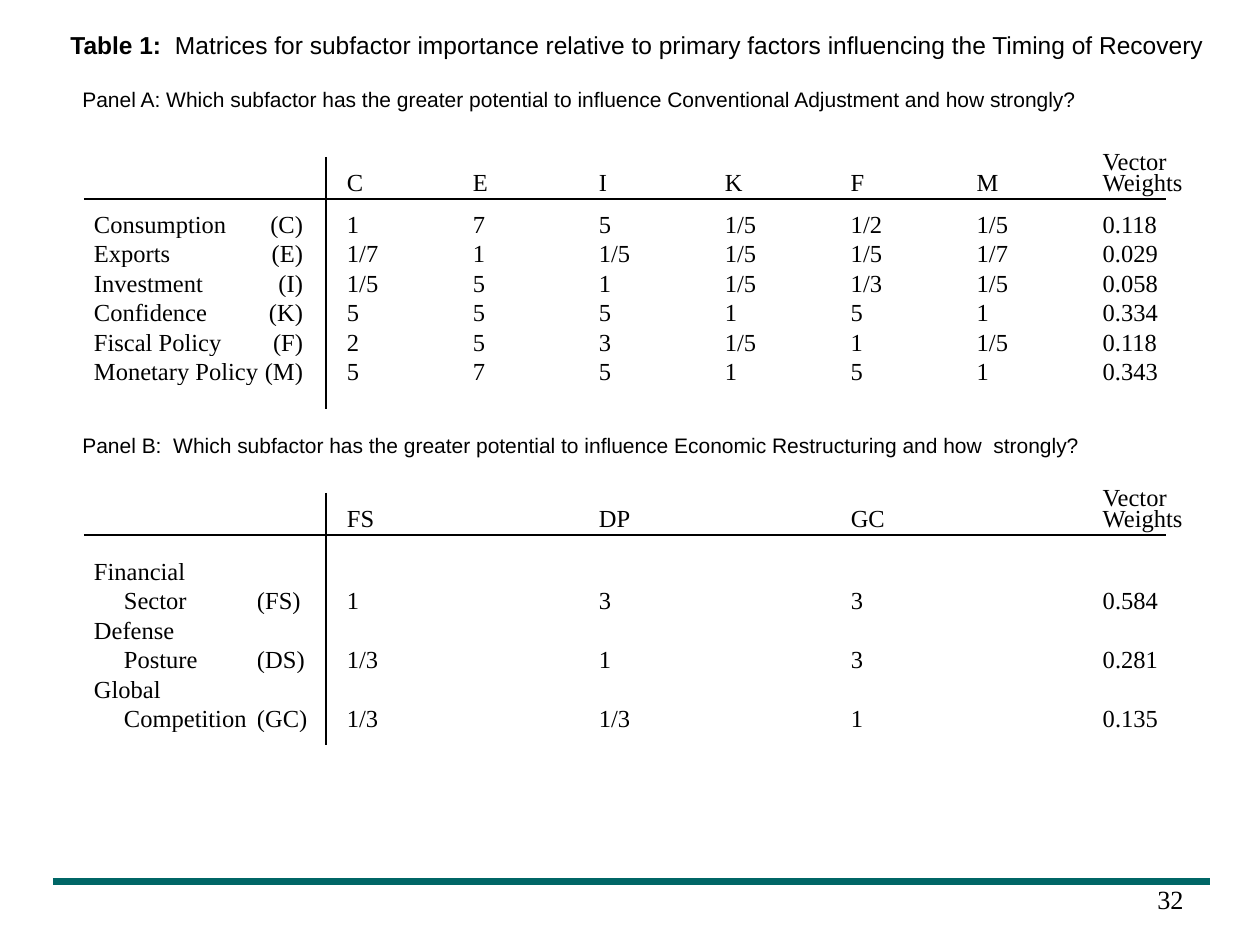
import pptx
import pptx.util
import pptx.dml.color
import pptx.enum.shapes
import pptx.enum.text
import pptx.oxml.ns
import lxml.etree

PX = 914400 // 126
BLACK = pptx.dml.color.RGBColor(0x00, 0x00, 0x00)
TEAL = pptx.dml.color.RGBColor(0x00, 0x66, 0x66)
SANS, SERIF = "Arial", "Times New Roman"
ALIGN = pptx.enum.text.PP_ALIGN
ANCHOR = pptx.enum.text.MSO_ANCHOR

# Horizontal grid shared by both matrices
LEFT, DIVIDER, RULE_END = 84, 326, 1166
VALUES_WIDTH, WEIGHTS_WIDTH = 756, 126


class SlideBuilder:
    def __init__(self, slide):
        self.slide = slide

    def style(self, paragraph, font, size, align=ALIGN.LEFT):
        paragraph.alignment = align
        paragraph.font.name = font
        paragraph.font.size = pptx.util.Pt(size)
        paragraph.font.color.rgb = BLACK

    def line(self, x1, y1, x2, y2, color=BLACK, width=1):
        connector = self.slide.shapes.add_connector(
            pptx.enum.shapes.MSO_CONNECTOR.STRAIGHT, x1 * PX, y1 * PX, x2 * PX, y2 * PX)
        connector.line.color.rgb = color
        connector.line.width = pptx.util.Pt(width)
        lxml.etree.SubElement(connector._element.spPr, pptx.oxml.ns.qn("a:effectLst"))

    def text(self, x, y, width, height, runs, font, size, align=ALIGN.LEFT):
        """Add a one-line text box; runs are (text, bold) pairs."""
        box = self.slide.shapes.add_textbox(x * PX, y * PX, width * PX, height * PX)
        box.text_frame.word_wrap = True
        paragraph = box.text_frame.paragraphs[0]
        self.style(paragraph, font, size, align)
        for content, bold in runs:
            run = paragraph.add_run()
            run.text = content
            run.font.bold = bold

    def cell(self, cell, content, left=0, right=0, bottom=0, align=ALIGN.LEFT,
             spacing=None, indent=0):
        """Fill a cell; indent moves every line after the first."""
        cell.fill.background()
        cell.margin_left, cell.margin_right = left * PX, right * PX
        cell.margin_top, cell.margin_bottom = 0, bottom * PX
        cell.vertical_anchor = ANCHOR.BOTTOM
        cell.text = content
        for number, paragraph in enumerate(cell.text_frame.paragraphs):
            self.style(paragraph, SERIF, 14, align)
            if spacing:
                paragraph.line_spacing = pptx.util.Pt(spacing)
            if number and indent:
                paragraph._p.get_or_add_pPr().set("marL", str(indent * PX))

    def matrix(self, top, body_top, body_height, header, rows, name_width, code_style):
        """Add a matrix; each row is (name, code, values)."""
        count = len(header)
        value_width = VALUES_WIDTH // (count - 1)
        widths = [name_width, DIVIDER - LEFT - name_width]
        widths += [value_width] * (count - 1) + [WEIGHTS_WIDTH]
        frame = self.slide.shapes.add_table(
            len(rows) + 1, len(widths), LEFT * PX, top * PX,
            sum(widths) * PX, (body_top - top + body_height) * PX)
        table = frame.table
        table.first_row = table.horz_banding = False
        for column, width in zip(table.columns, widths):
            column.width = width * PX
        table.rows[0].height = (body_top - top) * PX

        # Header row, with its text sitting just above the rule
        for index, label in enumerate(["", ""] + header):
            self.cell(table.cell(0, index), label, left=21,
                      bottom=body_top - top - 55, spacing=12)

        # Body rows
        for row, (name, code, values) in enumerate(rows, 1):
            table.rows[row].height = body_height * PX // len(rows)
            self.cell(table.cell(row, 0), name, left=10, indent=30, spacing=16.5)
            self.cell(table.cell(row, 1), code, **code_style)
            for index, value in enumerate(values.split(), 2):
                self.cell(table.cell(row, index), value, left=21)

        # Rules
        self.line(LEFT, top + 57, RULE_END, top + 57)
        self.line(DIVIDER, top + 15, DIVIDER, top + 267)


def main():
    presentation = pptx.Presentation()
    presentation.slide_width = pptx.util.Inches(10)
    presentation.slide_height = pptx.util.Inches(7.5)
    builder = SlideBuilder(presentation.slides.add_slide(presentation.slide_layouts[6]))

    # Footer
    builder.line(53, 882, 1210, 882, TEAL, 4)
    builder.text(906, 877, 290, 42, [("32", False)], SERIF, 15, ALIGN.RIGHT)

    # Title and panel captions
    builder.text(58, 24, 1185, 42, [
        ("Table 1:", True),
        ("  Matrices for subfactor importance relative to primary factors "
         "influencing the Timing of Recovery", False)], SANS, 14)
    captions = [
        (80, "Panel A: Which subfactor has the greater potential to influence "
             "Conventional Adjustment and how strongly?"),
        (426, "Panel B:  Which subfactor has the greater potential to influence "
              "Economic Restructuring and how  strongly?"),
    ]
    for y, caption in captions:
        builder.text(70, y, 1060, 38, [(caption, False)], SANS, 12)

    # Panel A
    builder.matrix(142, 209, 177, ["C", "E", "I", "K", "F", "M", "Vector\nWeights"], [
        ("Consumption", "(C)", "1 7 5 1/5 1/2 1/5 0.118"),
        ("Exports", "(E)", "1/7 1 1/5 1/5 1/5 1/7 0.029"),
        ("Investment", "(I)", "1/5 5 1 1/5 1/3 1/5 0.058"),
        ("Confidence", "(K)", "5 5 5 1 5 1 0.334"),
        ("Fiscal Policy", "(F)", "2 5 3 1/5 1 1/5 0.118"),
        ("Monetary Policy", "(M)", "5 7 5 1 5 1 0.343"),
    ], 178, {"right": 23, "align": ALIGN.RIGHT})

    # Panel B
    builder.matrix(478, 556, 177, ["FS", "DP", "GC", "Vector\nWeights"], [
        ("Financial\nSector", "(FS)", "1 3 3 0.584"),
        ("Defense\nPosture", "(DS)", "1/3 1 3 0.281"),
        ("Global\nCompetition", "(GC)", "1/3 1/3 1 0.135"),
    ], 173, {})

    presentation.save("out.pptx")


if __name__ == "__main__":
    main()
